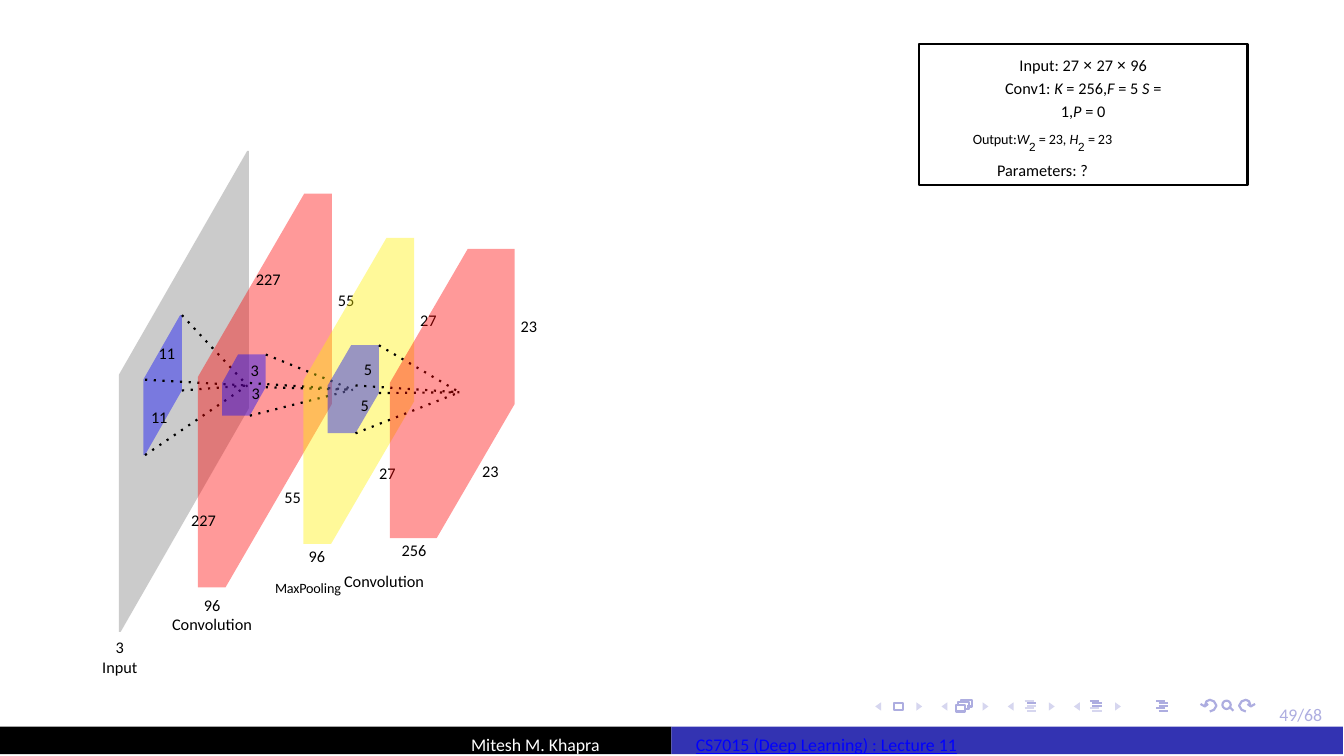
from lxml import etree
from pptx import Presentation
from pptx.dml.color import RGBColor
from pptx.enum.shapes import MSO_CONNECTOR, MSO_SHAPE
from pptx.enum.text import MSO_ANCHOR, PP_ALIGN
from pptx.oxml.ns import qn
from pptx.util import Cm, Pt

RECT, OVAL, STRAIGHT = MSO_SHAPE.RECTANGLE, MSO_SHAPE.OVAL, MSO_CONNECTOR.STRAIGHT
LEFT, CENTER = PP_ALIGN.LEFT, PP_ALIGN.CENTER
TOP, MIDDLE = MSO_ANCHOR.TOP, MSO_ANCHOR.MIDDLE

BLACK = RGBColor(0x00, 0x00, 0x00)
WHITE = RGBColor(0xFF, 0xFF, 0xFF)
GRAY = RGBColor(0x7F, 0x7F, 0x7F)
RED = RGBColor(0xFF, 0x00, 0x00)
YELLOW = RGBColor(0xFF, 0xF2, 0x00)
BLUE = RGBColor(0x00, 0x00, 0xFF)
INDIGO = RGBColor(0x33, 0x33, 0xB2)
NAV = RGBColor(0xAD, 0xAD, 0xE0)
NAV_PALE = RGBColor(0xD6, 0xD6, 0xEF)

# font, size, italic, baseline in 1/1000 percent
STYLES = {
    "plain": ("Calibri", 5.5, False, 0),
    "var": ("Calibri", 5.5, True, 0),
    "times": ("Noto Sans", 5.5, False, 0),
    "raised": ("Calibri", 8.2, False, 30000),
    "raised var": ("Calibri", 8.2, True, 30000),
    "index": ("Arial", 4, False, 0),
    "lowered": ("Calibri", 8.2, False, -25000),
    "footer": ("Calibri", 6, False, 0),
}

prs = Presentation()
prs.slide_width, prs.slide_height = Cm(16.03), Cm(9.02)
slide = prs.slides.add_slide(prs.slide_layouts[6])
shapes = slide.shapes


def add_outline(points, fill=None, line=None, close=True, alpha=None):
    """Draw a polygon or open path through points given in cm."""
    pts = [(Cm(x), Cm(y)) for x, y in points]
    builder = shapes.build_freeform(*pts[0], scale=1.0)
    builder.add_line_segments(pts[1:], close=close)
    s = builder.convert_to_shape()
    s.shadow.inherit = False
    if fill is None:
        s.fill.background()
    else:
        s.fill.solid()
        s.fill.fore_color.rgb = fill
    if alpha:
        color = s._element.spPr.find(qn("a:solidFill"))[0]
        etree.SubElement(color, qn("a:alpha"), val=str(alpha * 1000))
    if line is None:
        s.line.fill.background()
    else:
        s.line.color.rgb = line
        s.line.width = Pt(0.75)


def add_line(start, end, color, dash="solid"):
    c = shapes.add_connector(STRAIGHT, *[Cm(v) for v in (*start, *end)])
    c.line.color.rgb = color
    c.line.width = Pt(0.75)
    spPr = c._element.spPr
    etree.SubElement(spPr.find(qn("a:ln")), qn("a:prstDash"), val=dash)
    etree.SubElement(spPr, qn("a:effectLst"))


# Network: block = left, right, top, front top, bottom, depth;
# label = centre x, centre y, lines
stages = [
    (GRAY, (1.42, 2.97, 1.80, 4.47, 7.54, 0.02),
     (1.71, 2.17, 3.76, 4.53, 5.43, 0.02), (2.95, 4.60),
     [(1.99, 4.21, "11"), (1.90, 4.98, "11"), (1.43, 7.84, "3\nInput")]),
    (RED, (2.36, 3.96, 2.31, 4.50, 7.01, 0.33),
     (2.65, 3.17, 4.23, 4.57, 4.96, 0.33), (4.21, 4.65),
     [(3.20, 3.33, "227"), (4.13, 3.58, "55"), (3.49, 5.93, "55"),
      (2.43, 6.20, "227"), (3.04, 4.42, "3"), (3.05, 4.69, "3"),
      (2.53, 7.33, "96\nConvolution")]),
    (YELLOW, (3.62, 4.94, 2.84, 4.54, 6.49, 0.33),
     (3.91, 4.52, 4.12, 4.60, 5.17, 0.33), (5.48, 4.68),
     [(5.11, 3.82, "27"), (4.62, 5.64, "27"), (3.78, 6.63, "96"),
      (4.39, 4.40, "5"), (4.35, 4.83, "5")]),
    (RED, (4.65, 6.14, 2.97, 4.57, 6.42, 0.56), None, None,
     [(6.31, 3.89, "23"), (5.85, 5.62, "23"), (4.94, 6.56, "256")]),
]
frames = []  # text frame, paragraphs of (text, style) runs, alignment, colour
for color, layer, window, apex, labels in stages:
    for block, fill in ((layer, color), (window, BLUE)):
        if block:
            left, right, top, front, bottom, depth = block
            back = bottom - front + top
            add_outline([(right, top), (right - depth, top), (left, front),
                         (left, bottom), (left + depth, bottom), (right, back)],
                        fill, alpha=40)
    if window:
        for corner in ((left + depth, front), (right, top),
                       (left + depth, bottom), (right, back)):
            add_line(corner, apex, BLACK, "dot")
    for x, y, label in labels:
        box = shapes.add_textbox(Cm(x - 0.6), Cm(y - 0.3), Cm(1.2), Cm(0.6))
        lines = [[(text, "plain")] for text in label.split("\n")]
        frames.append((box.text_frame, lines, CENTER, BLACK))

# Navigation symbols
for i in range(4):
    x = 10.72 + 0.79 * i
    for side in (-1, 1):
        add_outline([(x + side * 0.21, 8.38), (x + side * 0.28, 8.43),
                     (x + side * 0.21, 8.48)], NAV_PALE)
for i in range(2):
    dx, dy = 0.03 * i, -0.03 * i
    add_outline([(11.43 + dx, 8.41 + dy), (11.43 + dx, 8.38 + dy),
                 (11.56 + dx, 8.38 + dy), (11.56 + dx, 8.46 + dy),
                 (11.51 + dx, 8.46 + dy)], line=NAV, close=False)
for x, dark_rows in ((12.22, (1,)), (13.00, (0, 1, 2)), (13.79, range(5))):
    for row in range(5):
        start = x if row in (0, 3) else x + 0.03
        y = 8.36 + 0.03 * row
        add_line((start, y), (start + 0.11, y), NAV if row in dark_rows else NAV_PALE)
add_line((14.66, 8.43), (14.71, 8.48), NAV)
undo_arc = [(14.43, 8.49), (14.48, 8.47), (14.51, 8.42), (14.48, 8.37),
            (14.43, 8.35), (14.39, 8.37), (14.37, 8.43)]
undo_head = [(14.41, 8.40), (14.37, 8.43), (14.32, 8.40)]
for path in (undo_arc, undo_head):
    add_outline(path, line=NAV, close=False)
    add_outline([(29.29 - x, y) for x, y in path], line=NAV, close=False)

# Preset shapes: footer bars, navigation frames and the layer summary
for kind, x, y, w, h, fill, line in (
        (RECT, 0, 8.67, 8.01, 0.33, BLACK, None),
        (RECT, 8.01, 8.67, 8.01, 0.33, INDIGO, None),
        (RECT, 10.66, 8.39, 0.11, 0.08, None, NAV),
        (RECT, 11.40, 8.41, 0.11, 0.08, None, NAV),
        (OVAL, 14.58, 8.36, 0.10, 0.10, None, NAV),
        (RECT, 10.96, 0.53, 3.92, 1.68, None, BLACK)):
    s = shapes.add_shape(kind, Cm(x), Cm(y), Cm(w), Cm(h))
    s.shadow.inherit = False
    if fill is None:
        s.fill.background()
        s.line.color.rgb = line
        s.line.width = Pt(0.75)
    else:
        s.fill.solid()
        s.fill.fore_color.rgb = fill
        s.line.fill.background()
summary = s.text_frame
frames.append((summary, [
    [("Input: 27 ", "plain"), ("× ", "times"), ("27 ", "plain"),
     ("× ", "times"), ("96", "plain")],
    [("Conv1: ", "plain"), ("K ", "var"), ("= 256,", "plain"), ("F ", "var"),
     ("= 5 ", "plain"), ("S ", "var"), ("= 1,", "plain"), ("P ", "var"),
     ("= 0", "plain")],
    [("Output:", "raised"), ("W", "raised var"), ("2 ", "index"),
     ("= 23", "raised"), (", H", "raised var"), ("2 ", "index"),
     ("= 23", "raised")],
    [("Parameters: ?", "plain")]], CENTER, BLACK))

# Remaining text: pooling caption and footer
for x, y, w, runs, align, color in (
        (3.17, 6.78, 2.00, [("MaxPooling ", "lowered"), ("Convolution", "plain")],
         CENTER, BLACK),
        (15.26, 8.38, 0.75, [("49/68", "footer")], LEFT, NAV),
        (5.62, 8.74, 2.20, [("Mitesh M. Khapra", "footer")], LEFT, WHITE),
        (8.30, 8.74, 4.30, [("CS7015 (Deep Learning) : Lecture 11", "footer")],
         LEFT, BLUE)):
    box = shapes.add_textbox(Cm(x), Cm(y), Cm(w), Cm(0.28))
    frames.append((box.text_frame, [runs], align, color))

for tf, paragraphs, align, color in frames:
    tf.word_wrap = True
    tf.margin_left = tf.margin_right = tf.margin_top = tf.margin_bottom = 0
    tf.vertical_anchor = MIDDLE
    for i, runs in enumerate(paragraphs):
        p = tf.add_paragraph() if i else tf.paragraphs[0]
        p.alignment = align
        for text, style in runs:
            r = p.add_run()
            r.text = text
            name, size, r.font.italic, baseline = STYLES[style]
            r.font.name, r.font.size = name, Pt(size)
            r.font.color.rgb = color
            if baseline:
                r._r.get_or_add_rPr().set("baseline", str(baseline))
r.font.underline = True  # the lecture link comes last

summary.vertical_anchor = TOP
summary.margin_top = Cm(0.08)
sizes, conv, output, parameters = summary.paragraphs
sizes.line_spacing = conv.line_spacing = 1.2
output.space_before, parameters.space_before = Pt(2.1), Pt(1.1)
for side in ("marL", "marR"):
    conv._p.get_or_add_pPr().set(side, str(Cm(0.97)))

prs.save("out.pptx")
